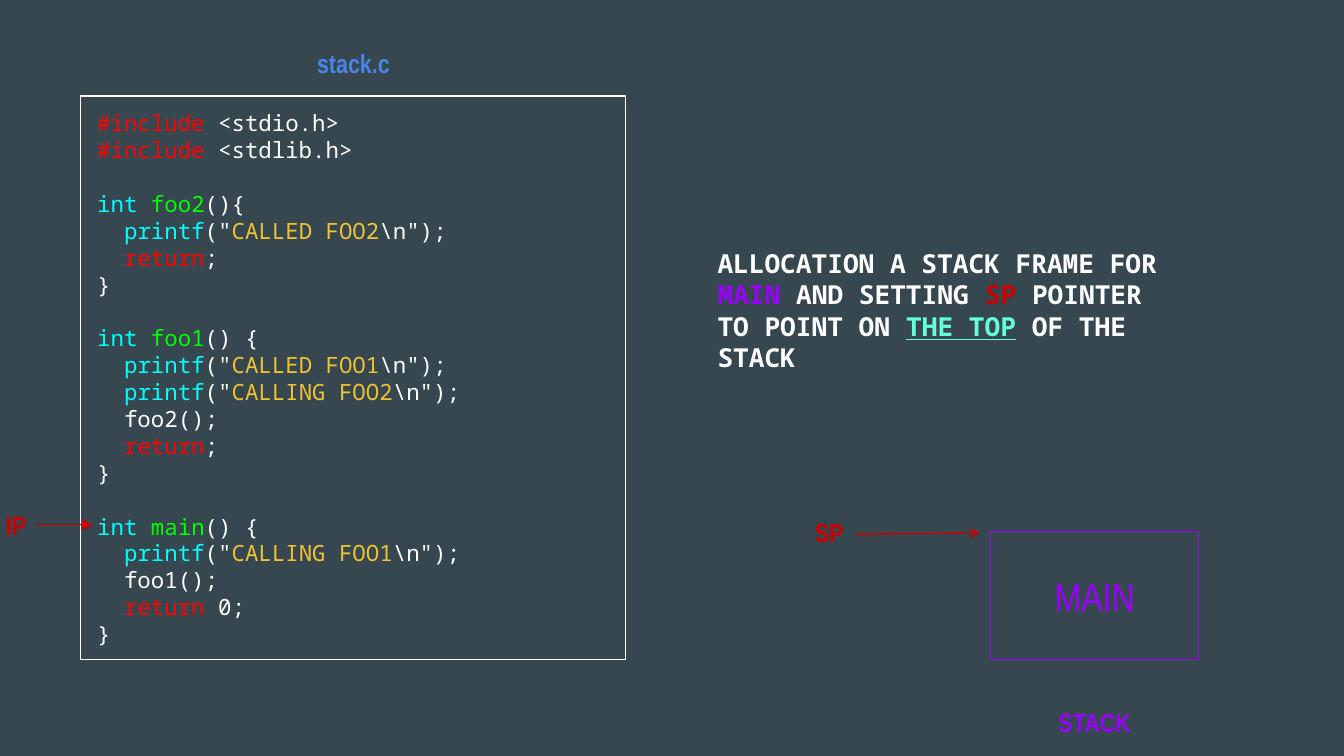
import pptx
import pptx.util
import pptx.dml.color
import pptx.enum.shapes
import pptx.enum.text
import pptx.oxml
import pptx.oxml.ns

RGB = pptx.dml.color.RGBColor
SLATE = RGB(0x37, 0x47, 0x4F)
WHITE = RGB(0xFF, 0xFF, 0xFF)
RED = RGB(0xFF, 0x00, 0x00)
DARK_RED = RGB(0xCC, 0x00, 0x00)
CYAN = RGB(0x00, 0xFF, 0xFF)
GREEN = RGB(0x00, 0xFF, 0x00)
GOLD = RGB(0xF1, 0xC2, 0x32)
BLUE = RGB(0x4A, 0x86, 0xE8)
PURPLE = RGB(0x99, 0x00, 0xFF)
MINT = RGB(0x64, 0xFF, 0xDA)

MONO = "Noto Sans Mono"
NARROW = "Arial Narrow"
ALIGN = pptx.enum.text.PP_ALIGN
PX = 4572  # EMU per px, 200 px to the inch
PAD = 20
LEAD = 14.4  # height of one code line in points


def emu(*sizes):
    return [pptx.util.Emu(size * PX) for size in sizes]


def write(slide, box, lines, size=14, color=WHITE, font=NARROW, bold=False,
          align=ALIGN.LEFT, shape=None):
    """Write lines, each a string or a list of (text, color, underline) spans.

    An empty line becomes space before the next one.
    """
    if shape is None:
        shape = slide.shapes.add_textbox(*emu(*box))
    else:
        shape.left, shape.top, shape.width, shape.height = emu(*box)
    frame = shape.text_frame
    frame.word_wrap = True
    frame.auto_size = pptx.enum.text.MSO_AUTO_SIZE.NONE
    frame.vertical_anchor = pptx.enum.text.MSO_ANCHOR.TOP
    frame.margin_left, frame.margin_top, frame.margin_right, frame.margin_bottom = emu(*[PAD] * 4)
    para, gap = None, 0
    for line in [lines] if isinstance(lines, str) else lines:
        if not line:
            gap = LEAD
            continue
        para = frame.add_paragraph() if para else frame.paragraphs[0]
        para.alignment = align
        para.space_before, gap = pptx.util.Pt(gap), 0
        for text, tint, under in [(line, color, False)] if isinstance(line, str) else line:
            run = para.add_run()
            run.text = text
            run.font.name = font
            run.font.size = pptx.util.Pt(size)
            run.font.bold = bold
            run.font.underline = under
            run.font.color.rgb = tint


def span(text, color=WHITE, under=False):
    return text, color, under


def frame_box(slide, box, color):
    rect = slide.shapes.add_shape(pptx.enum.shapes.MSO_SHAPE.RECTANGLE, *emu(*box))
    rect.shadow.inherit = False
    rect.fill.background()
    rect.line.color.rgb = color
    rect.line.width = pptx.util.Pt(0.75)


def arrow(slide, start, end, head):
    link = slide.shapes.add_connector(
        pptx.enum.shapes.MSO_CONNECTOR.STRAIGHT, *emu(*start, *end))
    link.line.color.rgb = DARK_RED
    link.line.width = pptx.util.Pt(0.75)
    qn = pptx.oxml.ns.qn
    props = link._element.spPr
    edge = props.find(qn("a:ln"))
    edge.append(edge.makeelement(qn("a:tailEnd"), {"type": head, "w": "med", "len": "med"}))
    props.append(props.makeelement(qn("a:effectLst"), {}))


# Kinds of code line
def include(name):
    return [span("#include", RED), span(f" <{name}>")]


def define(name, rest):
    return [span("int ", CYAN), span(name, GREEN), span(rest)]


def echo(words):
    return [span("  "), span("printf", CYAN), span('("'), span(words, GOLD), span('\\n");')]


def leave(rest=";"):
    return [span("  "), span("return", RED), span(rest)]


CODE = [
    include("stdio.h"), include("stdlib.h"), "",
    define("foo2", "(){"), echo("CALLED FOO2"), leave(), "}", "",
    define("foo1", "() {"), echo("CALLED FOO1"), echo("CALLING FOO2"),
    "  foo2();", leave(), "}", "",
    define("main", "() {"), echo("CALLING FOO1"), "  foo1();", leave(" 0;"), "}",
]
NOTE = [[
    span("ALLOCATION A STACK FRAME FOR "), span("MAIN ", PURPLE),
    span("AND SETTING "), span("SP ", DARK_RED),
    span("POINTER TO POINT ON "), span("THE TOP", MINT, True),
    span(" OF THE STACK"),
]]


def code(slide, box):
    """Source listing with its file name and the instruction pointer."""
    x, y, w, h = box
    frame_box(slide, box, WHITE)
    write(slide, (x + 5, y, w - 8, h + 48), CODE, size=12, font=MONO)
    write(slide, (x + 202, y - 92, 408, 88), "stack.c", color=BLUE, bold=True,
          align=ALIGN.CENTER, shape=slide.shapes.title)
    write(slide, (x - 131, y + 595, 84, 88), "IP", color=DARK_RED, bold=True)
    arrow(slide, (x - 66, y + 638), (x + 18, y + 638), "triangle")


def stack(slide, box):
    """Stack frame with its label and the stack pointer."""
    x, y, w, h = box
    frame_box(slide, box, PURPLE)
    write(slide, (x + 41, y + 40, 228, 112), "MAIN", size=21, color=PURPLE, align=ALIGN.CENTER)
    write(slide, (x + 6, y + h + 50, w - 12, 88), "STACK", color=PURPLE, bold=True,
          align=ALIGN.CENTER)
    write(slide, (x - 281, y - 43, 122, 88), "SP", color=DARK_RED, bold=True)
    arrow(slide, (x - 200, y + 4), (x - 16, y + 2), "stealth")


def main():
    deck = pptx.Presentation()
    deck.slide_width, deck.slide_height = emu(2000, 1125)
    slide = deck.slides.add_slide(deck.slide_layouts[5])
    slide.background.fill.solid()
    slide.background.fill.fore_color.rgb = SLATE
    code(slide, (120, 143, 811, 839))
    write(slide, (1048, 348, 736, 182), NOTE, font=MONO, bold=True)
    stack(slide, (1474, 791, 310, 191))
    deck.save("out.pptx")


if __name__ == "__main__":
    main()
